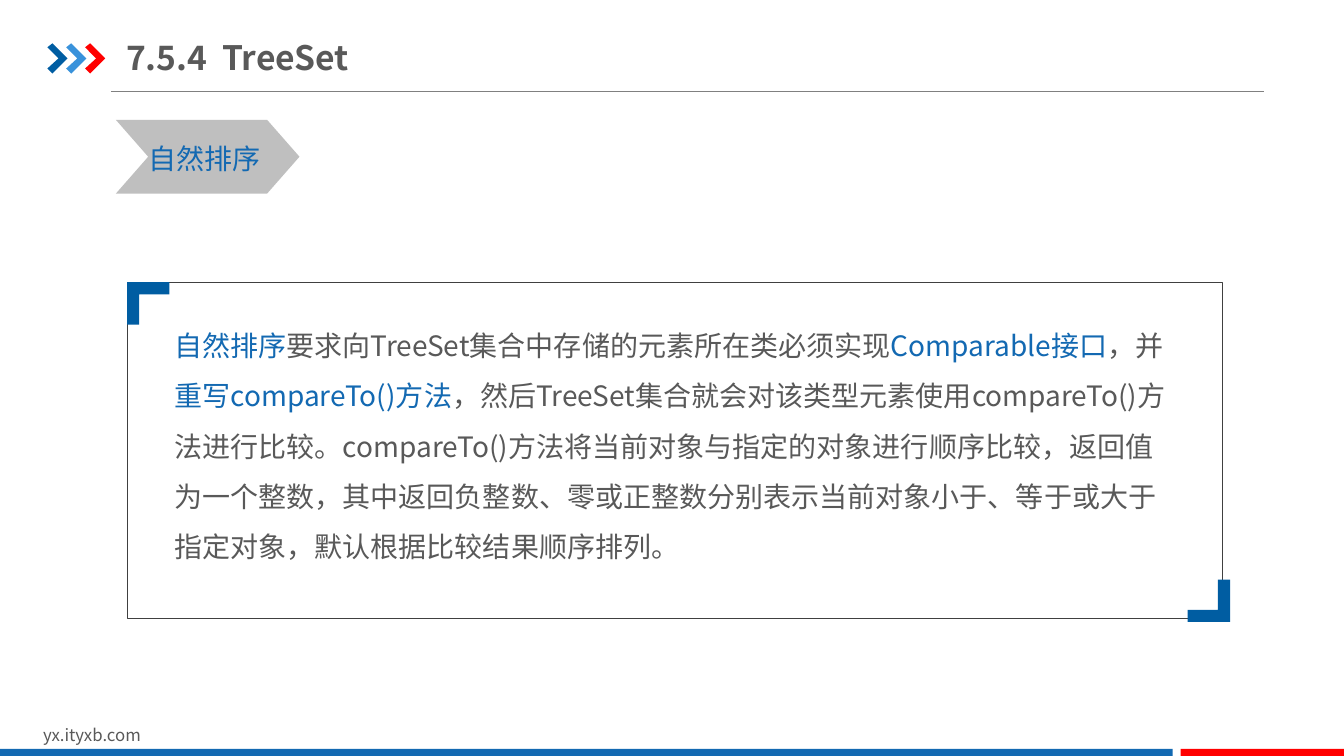
import pptx
import pptx.util
import pptx.dml.color
import pptx.enum.lang
import pptx.enum.shapes
import pptx.enum.text
import pptx.oxml.ns
from dataclasses import dataclass
from lxml import etree
from pptx.util import Inches


@dataclass(frozen=True)
class Theme:
    font: str = "Noto Sans CJK SC"
    blue: str = "1369B2"
    deep_blue: str = "005DA2"
    light_blue: str = "3992DB"
    red: str = "FF0000"
    text: str = "595959"
    tag: str = "BFBFBF"
    rule: str = "808080"
    frame: str = "404040"
    title_size: int = 24
    body_size: int = 20
    footer_size: int = 12


theme = Theme()
rgb = pptx.dml.color.RGBColor.from_string
qn = pptx.oxml.ns.qn
shape_kinds = pptx.enum.shapes.MSO_SHAPE


def add_run(paragraph, text, size, color, bold=False):
    run = paragraph.add_run()
    run.text = text
    run.font.name = theme.font
    run.font.size = pptx.util.Pt(size)
    run.font.bold = bold
    run.font.color.rgb = rgb(color)
    run.font.language_id = pptx.enum.lang.MSO_LANGUAGE_ID.SIMPLIFIED_CHINESE
    east_asian = etree.SubElement(run._r.get_or_add_rPr(), qn("a:ea"))
    east_asian.set("typeface", theme.font)
    return run


def paint(shape, color):
    shape.shadow.inherit = False
    shape.fill.solid()
    shape.fill.fore_color.rgb = rgb(color)
    shape.line.fill.background()


deck = pptx.Presentation()
deck.slide_width, deck.slide_height = Inches(13.33), Inches(7.5)
slide = deck.slides.add_slide(deck.slide_layouts[1])
shapes = slide.shapes

# Header rule
header_rule = shapes.add_connector(
    pptx.enum.shapes.MSO_CONNECTOR.STRAIGHT,
    Inches(1.1), Inches(0.91), Inches(12.54), Inches(0.91))
header_rule.line.color.rgb = rgb(theme.rule)
header_rule.line.width = pptx.util.Pt(0.75)
etree.SubElement(header_rule._element.spPr, qn("a:effectLst"))

# Three header arrows
arrow_outline = [(0, 0.04), (0.05, 0), (0.2, 0.15), (0.05, 0.3), (0, 0.25), (0.11, 0.15)]
for index, color in enumerate([theme.deep_blue, theme.light_blue, theme.red]):
    left = 0.47 + index * 0.187
    points = [(Inches(left + x), Inches(0.43 + y)) for x, y in arrow_outline]
    builder = shapes.build_freeform(*points[0])
    builder.add_line_segments(points[1:], close=True)
    paint(builder.convert_to_shape(), color)

# Footer address and bars
address = shapes.add_textbox(Inches(0.33), Inches(7.14), Inches(3.18), Inches(0.3))
address.text_frame.word_wrap = True
add_run(address.text_frame.paragraphs[0], "yx.ityxb.com", theme.footer_size, theme.text)
for left, width, color in [(0, 11.63, theme.blue), (11.71, 1.63, theme.red)]:
    footer_bar = shapes.add_shape(
        shape_kinds.RECTANGLE, Inches(left), Inches(7.43), Inches(width), Inches(0.09))
    paint(footer_bar, color)

# Title, with a widened space after the section number
title = shapes.title
title.left, title.top, title.width, title.height = (
    Inches(1.25), Inches(0.29), Inches(5.11), Inches(0.55))
heading = title.text_frame
heading.margin_left = heading.margin_right = 0
heading.margin_top = heading.margin_bottom = Inches(0.07)
heading.vertical_anchor = pptx.enum.text.MSO_ANCHOR.MIDDLE
heading.auto_size = pptx.enum.text.MSO_AUTO_SIZE.NONE
heading.paragraphs[0].alignment = pptx.enum.text.PP_ALIGN.LEFT
for text in ["7.5.4", " ", "TreeSet"]:
    run = add_run(heading.paragraphs[0], text, theme.title_size, theme.text, bold=True)
    if text == " ":
        run._r.get_or_add_rPr().set("spc", "540")

# Topic tag
tag = shapes.add_shape(
    shape_kinds.CHEVRON, Inches(1.15), Inches(1.19), Inches(1.82), Inches(0.73))
tag.adjustments[0] = 0.438
paint(tag, theme.tag)
topic = shapes.add_textbox(Inches(1.37), Inches(1.35), Inches(1.31), Inches(0.44))
topic.text_frame.word_wrap = False
add_run(topic.text_frame.paragraphs[0], "自然排序", theme.body_size, theme.blue)

# Explanation
explanation = slide.placeholders[1]
explanation.left, explanation.top, explanation.width, explanation.height = (
    Inches(1.63), Inches(3.04), Inches(10.08), Inches(2.94))
explanation.text_frame.auto_size = pptx.enum.text.MSO_AUTO_SIZE.NONE
sentence = explanation.text_frame.paragraphs[0]
sentence_format = sentence._p.get_or_add_pPr()
sentence_format.set("marL", "0")
sentence_format.set("indent", "0")
etree.SubElement(sentence_format, qn("a:buNone"))
sentence.line_spacing = 1.5
sentence.space_before = pptx.util.Pt(0)
for text, color in [
    ("自然排序", theme.blue),
    ("要求向TreeSet集合中存储的元素所在类必须实现", theme.text),
    ("Comparable接口", theme.blue),
    ("，并", theme.text),
    ("重写compareTo()方法", theme.blue),
    ("，然后TreeSet集合就会对该类型元素使用compareTo()方法进行比较。"
     "compareTo()方法将当前对象与指定的对象进行顺序比较，返回值为一个整数，"
     "其中返回负整数、零或正整数分别表示当前对象小于、等于或大于指定对象，"
     "默认根据比较结果顺序排列。", theme.text),
]:
    add_run(sentence, text, theme.body_size, color)

# Frame around the explanation
frame = shapes.add_shape(
    shape_kinds.ROUNDED_RECTANGLE, Inches(1.26), Inches(2.8), Inches(10.86), Inches(3.33))
frame.adjustments[0] = 0
frame.shadow.inherit = False
frame.fill.background()
frame.line.color.rgb = rgb(theme.frame)
frame.line.width = pptx.util.Pt(0.25)

# Corner brackets, the second mirrored through the frame
bracket_outline = [(0, 0), (0.42, 0), (0.42, 0.12), (0.12, 0.12), (0.12, 0.42), (0, 0.42)]
for corner_x, corner_y, direction in [(1.26, 2.8, 1), (12.2, 6.17, -1)]:
    points = [(Inches(corner_x + direction * x), Inches(corner_y + direction * y))
              for x, y in bracket_outline]
    builder = shapes.build_freeform(*points[0])
    builder.add_line_segments(points[1:], close=True)
    paint(builder.convert_to_shape(), theme.deep_blue)

deck.save("out.pptx")
